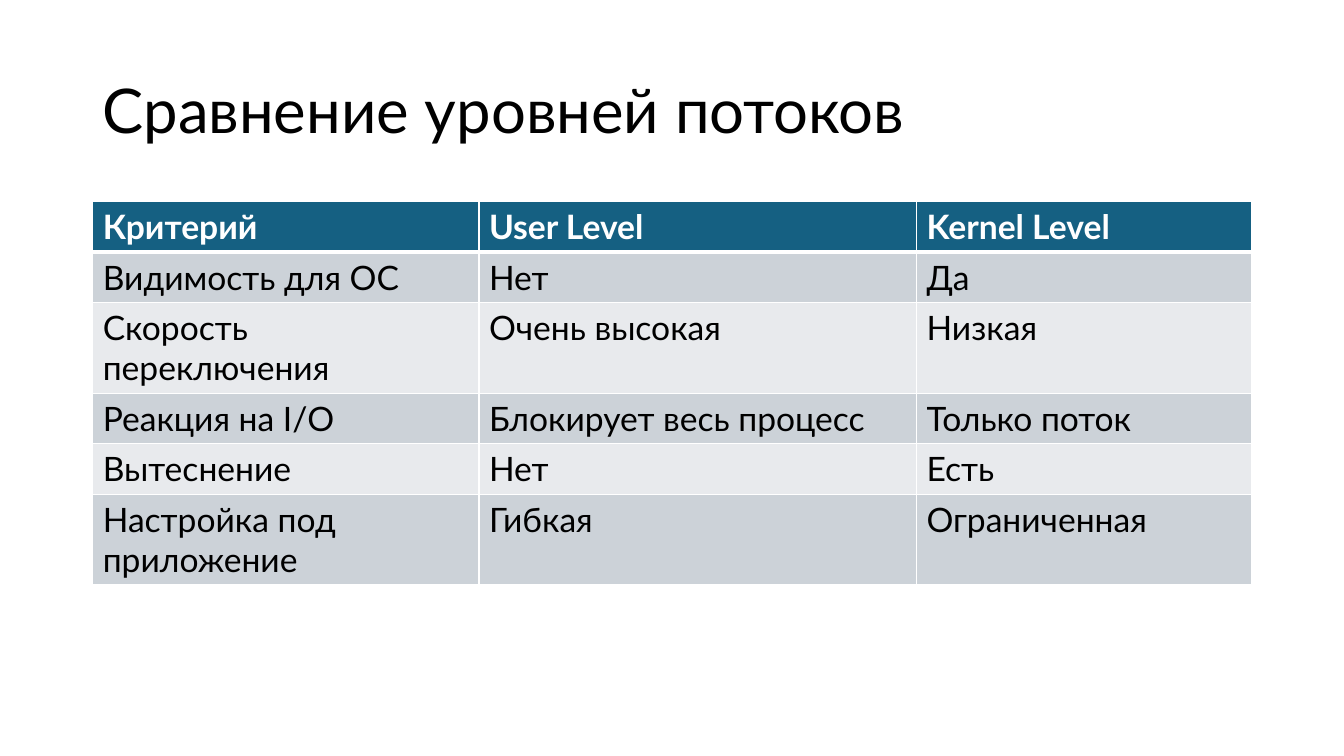
from lxml.etree import SubElement
from pptx import Presentation
from pptx.dml.color import RGBColor
from pptx.enum.text import MSO_ANCHOR
from pptx.oxml.ns import qn
from pptx.util import Inches, Pt

FONT = "Lato"
HEADER, DARK_BAND, LIGHT_BAND = "156082", "CCD2D8", "E8EAED"
WHITE, BLACK = "FFFFFF", "000000"
LEFT, WIDTH = Inches(0.92), Inches(11.5)
COLUMNS = [3.83, 4.34, 3.32]
ROWS = [
    ["Критерий", "User Level", "Kernel Level"],
    ["Видимость для ОС", "Нет", "Да"],
    ["Скорость переключения", "Очень высокая", "Низкая"],
    ["Реакция на I/O", "Блокирует весь процесс", "Только поток"],
    ["Вытеснение", "Нет", "Есть"],
    ["Настройка под приложение", "Гибкая", "Ограниченная"],
]
HEIGHTS = [0.5, 0.5, 0.9, 0.5, 0.5, 0.9]


def style(p, size, color, bold=False):
    p.font.name, p.font.size, p.font.bold = FONT, Pt(size), bold
    p.font.color.rgb = RGBColor.from_string(color)


def add_border(cell, side, width):
    ln = SubElement(cell._tc.get_or_add_tcPr(), qn(f"a:ln{side}"), w=str(Pt(width)))
    SubElement(SubElement(ln, qn("a:solidFill")), qn("a:srgbClr"), val=WHITE)


prs = Presentation()
prs.slide_width, prs.slide_height = Inches(13.33), Inches(7.5)
s = prs.slides.add_slide(prs.slide_layouts[6])

# Title
tf = s.shapes.add_textbox(LEFT, Inches(0.4), WIDTH, Inches(1.45)).text_frame
tf.word_wrap = True
tf.vertical_anchor = MSO_ANCHOR.MIDDLE
p = tf.paragraphs[0]
p.text = "Сравнение уровней потоков"
p.line_spacing = 0.9
style(p, 44, BLACK)

# Comparison table
table = s.shapes.add_table(len(ROWS), len(COLUMNS), LEFT, Inches(2),
                           WIDTH, Inches(sum(HEIGHTS))).table
for column, width in zip(table.columns, COLUMNS):
    column.width = Inches(width)

for i, (texts, height) in enumerate(zip(ROWS, HEIGHTS)):
    table.rows[i].height = Inches(height)
    is_header = i == 0
    fill = HEADER if is_header else DARK_BAND if i % 2 else LIGHT_BAND
    for j, text in enumerate(texts):
        cell = table.cell(i, j)
        # Thick rule between the header and the body
        for side in "LRTB":
            thick = (i, side) in [(0, "B"), (1, "T")]
            add_border(cell, side, 3 if thick else 1)
        cell.fill.solid()
        cell.fill.fore_color.rgb = RGBColor.from_string(fill)
        p = cell.text_frame.paragraphs[0]
        p.text = text
        style(p, 24, WHITE if is_header else BLACK, is_header)

prs.save("out.pptx")
